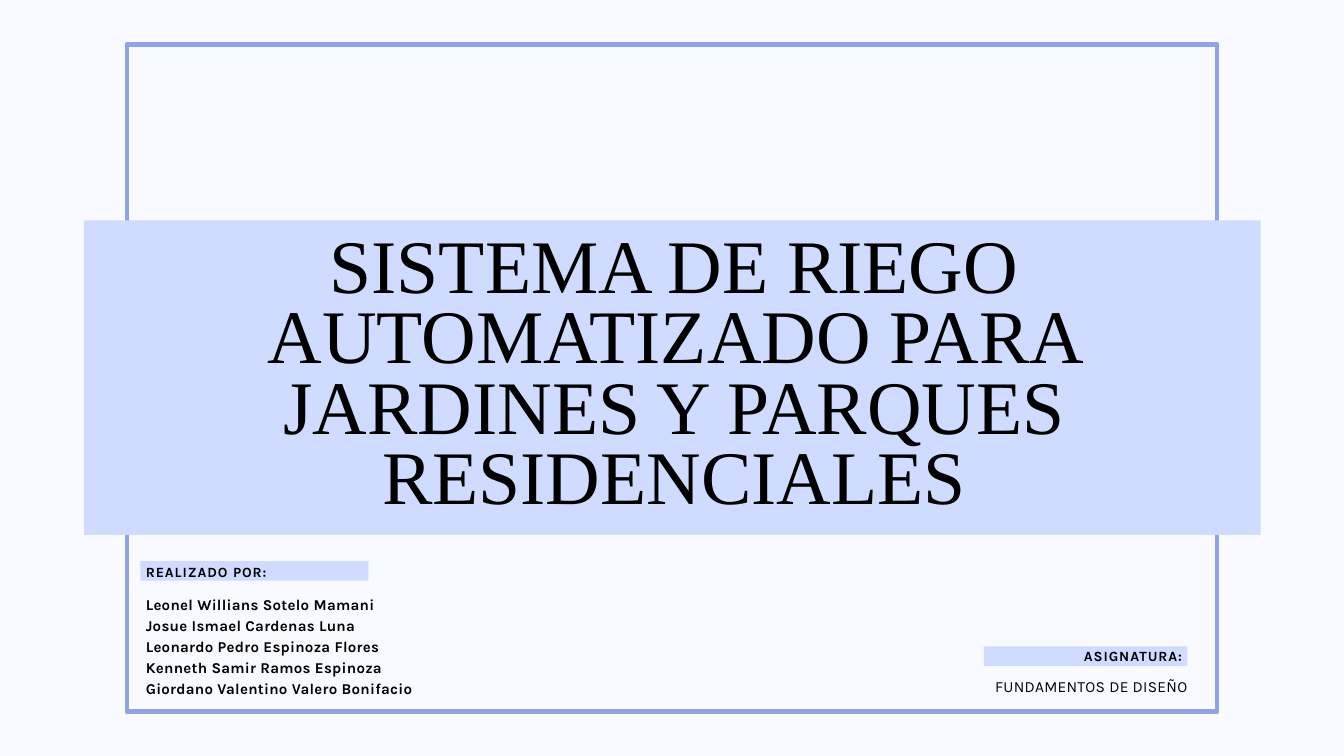
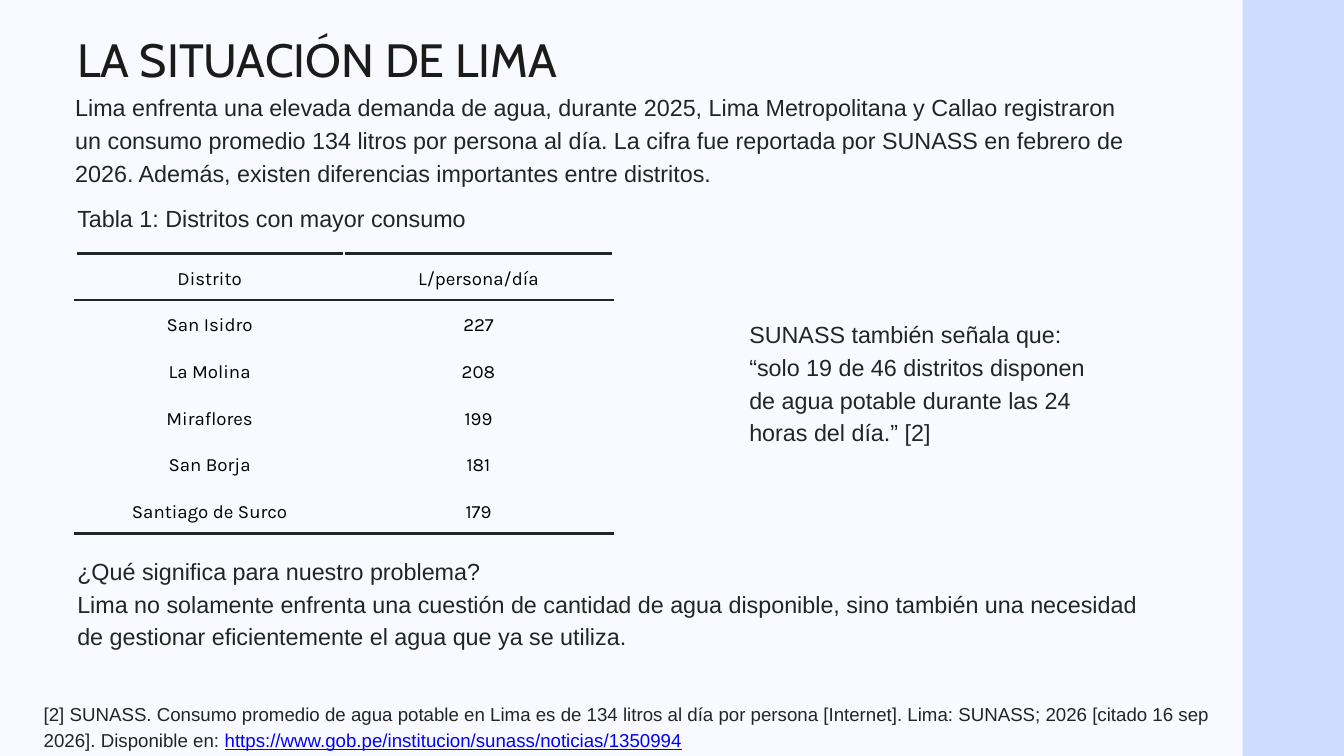
from pptx import Presentation, util as u
from pptx.dml.color import RGBColor
from pptx.enum import shapes, text
from pptx.oxml import parse_xml
from pptx.oxml.ns import nsdecls

PAPER = RGBColor(0xF8, 0xFA, 0xFF)
BAND = RGBColor(0xCF, 0xDB, 0xFF)
FRAME = RGBColor(0x8F, 0xA4, 0xE1)
BLACK = RGBColor(0, 0, 0)
DARK = RGBColor(0x24, 0x24, 0x24)
INK = RGBColor(0x1C, 0x1B, 0x19)
LINK = RGBColor(0, 0, 0xFF)

LEFT, MID, RIGHT = text.PP_ALIGN.LEFT, text.PP_ALIGN.CENTER, text.PP_ALIGN.RIGHT
WIDE, HIGH = 20, 11.25

# Text styles: size and lead in points, gap is letter spacing
COVER = dict(name="Times New Roman", size=81, color=BLACK, lead=75.3)
LABEL = dict(name="Karla", size=15.1, color=BLACK, bold=True, lead=18.1, gap=1)
NAMES = dict(name="Karla", size=16.1, color=BLACK, bold=True, lead=22.6, gap=0.3)
COURSE = dict(name="Karla", size=16.6, color=BLACK, lead=23.3, gap=0.3)
HEAD = dict(name="Cabin", size=50, color=INK, lead=66)
BODY = dict(name="Arial", size=25, color=DARK, lead=35)
NOTE = dict(name="Arial", size=20, color=DARK, lead=28)
CELL = dict(name="Karla", size=20, color=BLACK, lead=28)

TEAM = ["Leonel Willians Sotelo Mamani", "Josue Ismael Cardenas Luna",
        "Leonardo Pedro Espinoza Flores", "Kenneth Samir Ramos Espinoza",
        "Giordano Valentino Valero Bonifacio"]
USAGE = [("Distrito", "L/persona/día"), ("San Isidro", 227), ("La Molina", 208),
         ("Miraflores", 199), ("San Borja", 181), ("Santiago de Surco", 179)]


def inch(box):
    return [u.Inches(n) for n in box]


def add_run(para, words, style):
    run = para.add_run()
    run.text = words
    for key, val in style.items():
        if key == "color":
            run.font.color.rgb = val
        elif key == "size":
            run.font.size = u.Pt(val)
        elif key == "gap":
            run.font._element.set("spc", str(round(val * 100)))
        elif key != "lead":
            setattr(run.font, key, val)


def fill_text(frame, lines, style, align=LEFT):
    """Each line is a string or a list of (words, style) runs."""
    for i, line in enumerate(lines):
        para = frame.add_paragraph() if i else frame.paragraphs[0]
        para.alignment = align
        para.line_spacing = u.Pt(style["lead"])
        runs = [(line, style)] if isinstance(line, str) else line
        for words, look in runs:
            add_run(para, words, look)


def add_text(slide, box, lines, style, align=LEFT):
    frame = slide.shapes.add_textbox(*inch(box)).text_frame
    form = dict(word_wrap=True, auto_size=text.MSO_AUTO_SIZE.SHAPE_TO_FIT_TEXT,
                margin_left=0, margin_right=0, margin_top=0, margin_bottom=0)
    for key, val in form.items():
        setattr(frame, key, val)
    fill_text(frame, lines, style, align)


def add_band(slide, box):
    band = slide.shapes.add_shape(shapes.MSO_SHAPE.RECTANGLE, *inch(box))
    band.shadow.inherit = False
    band.fill.solid()
    band.fill.fore_color.rgb = BAND
    band.line.fill.background()


def add_frame(slide, box):
    x, y, w, h = inch(box)
    pen = slide.shapes.build_freeform(x, y)
    pen.add_line_segments([(x + w, y), (x + w, y + h), (x, y + h)], close=True)
    frame = pen.convert_to_shape()
    frame.shadow.inherit = False
    frame.fill.background()
    frame.line.color.rgb = FRAME
    frame.line.width = u.Pt(5.25)


def add_title(slide, box):
    x, y, w, h = box
    add_band(slide, box)
    add_text(slide, (x + 0.77, y + 0.27, 16.02, h - 0.27),
             ["SISTEMA DE RIEGO AUTOMATIZADO PARA JARDINES Y PARQUES RESIDENCIALES"],
             COVER, MID)


def add_team(slide, box):
    x, y, w, h = box
    add_band(slide, (x, y, 3.39, 0.29))
    add_text(slide, (x + 0.08, y + 0.03, 3.24, 0.26), ["REALIZADO POR:"], LABEL)
    add_text(slide, (x + 0.08, y + 0.46, w - 0.08, h - 0.46), TEAM, NAMES)


def add_course(slide, box):
    x, y, w, h = box
    add_band(slide, (x + 0.27, y, w - 0.27, 0.29))
    add_text(slide, (x + 0.4, y + 0.01, 2.82, 0.26), ["ASIGNATURA:"], LABEL, RIGHT)
    add_text(slide, (x, y + 0.4, w, h - 0.4), ["FUNDAMENTOS DE DISEÑO"], COURSE, RIGHT)


def set_edge(cell, side, color):
    cell._tc.get_or_add_tcPr().append(parse_xml(
        f'<a:ln{side} {nsdecls("a")} w="{u.Pt(3)}"><a:solidFill>'
        f'<a:srgbClr val="{color}"/></a:solidFill></a:ln{side}>'))


def add_usage(slide, box):
    rows, cols = len(USAGE), len(USAGE[0])
    table = slide.shapes.add_table(rows, cols, *inch(box)).table
    table.first_row = table.horz_banding = False
    ruled = (0, 1, rows)  # dark rules around the header and at the foot
    form = dict(vertical_anchor=text.MSO_ANCHOR.MIDDLE)
    for side in ("left", "right", "top", "bottom"):
        form["margin_" + side] = u.Inches(0.11)
    for r, row in enumerate(USAGE):
        for c, val in enumerate(row):
            cell = table.cell(r, c)
            for key, look in form.items():
                setattr(cell, key, look)
            fill_text(cell.text_frame, [str(val)], CELL, MID)
            for side, dark in (("L", False), ("R", False),
                               ("T", r in ruled), ("B", r + 1 in ruled)):
                set_edge(cell, side, DARK if dark else PAPER)
            cell.fill.background()


def add_source(slide, box):
    link = dict(NOTE, color=LINK, underline=True)
    add_text(slide, box, [[
        ("[2] SUNASS. Consumo promedio de agua potable en Lima es de 134 litros al día "
         "por persona [Internet]. Lima: SUNASS; 2026 [citado 16 sep 2026]. "
         "Disponible en: ", NOTE),
        ("https://www.gob.pe/institucion/sunass/noticias/1350994", link)]], NOTE)


def new_slide(deck):
    slide = deck.slides.add_slide(deck.slide_layouts[6])
    slide.background.fill.solid()
    slide.background.fill.fore_color.rgb = PAPER
    return slide


def make_cover(deck):
    slide = new_slide(deck)
    add_frame(slide, (1.89, 0.66, 16.22, 9.93))
    add_title(slide, (1.25, 3.28, 17.51, 4.68))
    add_course(slide, (14.37, 9.62, 3.3, 0.71))
    add_team(slide, (2.09, 8.35, 4.29, 2.33))


def make_lima(deck):
    slide = new_slide(deck)
    left = 1.15
    # Table of districts
    add_usage(slide, (1.12, 3.77, 8, 4.17))
    # Heading, opening and caption
    add_text(slide, (1.12, 1.32, 15.87, 1.9), [
        "Lima enfrenta una elevada demanda de agua, durante 2025, Lima Metropolitana y "
        "Callao registraron un consumo promedio 134 litros por persona al día. La cifra "
        "fue reportada por SUNASS en febrero de 2026. Además, existen diferencias "
        "importantes entre distritos."], BODY)
    add_text(slide, (left, 0.37, 17.09, 1.01), ["LA SITUACIÓN DE LIMA"], HEAD)
    add_text(slide, (left, 2.97, 16.03, 0.46),
             ["Tabla 1: Distritos con mayor consumo"], BODY)
    # Side band
    add_band(slide, (18.49, 0, WIDE - 18.49, HIGH))
    # Quote, conclusion and source
    add_text(slide, (11.15, 4.7, 5.32, 2.38), [
        "SUNASS también señala que:",
        "“solo 19 de 46 distritos disponen de agua potable durante las 24 horas "
        "del día.” [2]"], BODY)
    add_source(slide, (0.65, 10.4, 17.55, 0.78))
    add_text(slide, (left, 8.22, 15.85, 1.9), [
        "¿Qué significa para nuestro problema?",
        "Lima no solamente enfrenta una cuestión de cantidad de agua disponible, sino "
        "también una necesidad de gestionar eficientemente el agua que ya se utiliza."],
        BODY)


def main():
    deck = Presentation()
    deck.slide_width, deck.slide_height = inch((WIDE, HIGH))
    make_cover(deck)
    make_lima(deck)
    deck.save("out.pptx")


if __name__ == "__main__":
    main()
